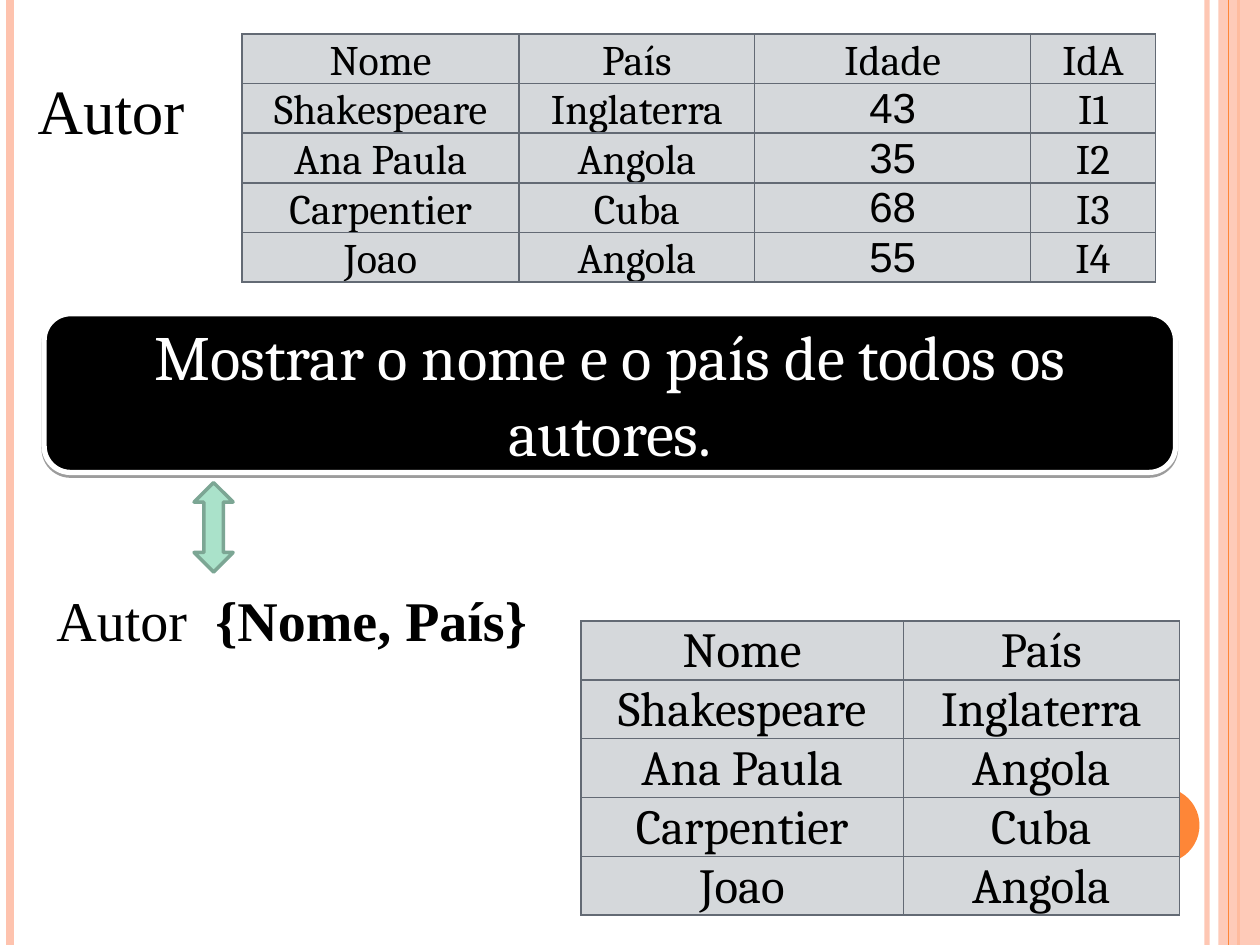
import pptx
import pptx.util
import pptx.oxml
import pptx.oxml.ns
import pptx.dml.color
import pptx.enum.shapes
import pptx.enum.text
from lxml import etree

Inches = pptx.util.Inches
Pt = pptx.util.Pt
RGBColor = pptx.dml.color.RGBColor
Shape = pptx.enum.shapes.MSO_SHAPE
Align = pptx.enum.text.PP_ALIGN
qn = pptx.oxml.ns.qn

BLACK = RGBColor(0x00, 0x00, 0x00)
WHITE = RGBColor(0xFF, 0xFF, 0xFF)
PEACH = RGBColor(0xFE, 0xC3, 0xAE)
ORANGE = RGBColor(0xFE, 0x86, 0x37)
MINT = RGBColor(0xAA, 0xE2, 0xCA)
MINT_EDGE = RGBColor(0x7C, 0xA6, 0x94)
CELL_GREY = RGBColor(0xD5, 0xD8, 0xDB)
BORDER_GREY = RGBColor(0x63, 0x6A, 0x74)

SERIF = "Cambria"
ROMAN = "Times New Roman"
SANS = "Arial"

AUTHORS = [
    ("Nome", "País", "Idade", "IdA"),
    ("Shakespeare", "Inglaterra", "43", "I1"),
    ("Ana Paula", "Angola", "35", "I2"),
    ("Carpentier", "Cuba", "68", "I3"),
    ("Joao", "Angola", "55", "I4"),
]


def add_span(para, text, size, font, color=BLACK, bold=False):
    span = para.add_run()
    span.text = text
    span.font.size = Pt(size)
    span.font.name = font
    span.font.color.rgb = color
    span.font.bold = bold


def set_alpha(color_parent, percent):
    color = color_parent.find(".//" + qn("a:srgbClr"))
    etree.SubElement(color, qn("a:alpha"), val=str(percent * 1000))


def add_rule(page, x, color, width, alpha=None):
    """Vertical line over the full height of the page."""
    rule = page.shapes.add_connector(
        pptx.enum.shapes.MSO_CONNECTOR.STRAIGHT,
        Inches(x), 0, Inches(x), Inches(7.5))
    rule.line.color.rgb = color
    rule.line.width = Pt(width)
    properties = rule._element.spPr
    if alpha:
        set_alpha(properties, alpha)
    etree.SubElement(properties, qn("a:effectLst"))


def add_box(page, kind, place, fill, line=None, width=1):
    box = page.shapes.add_shape(kind, *map(Inches, place))
    box.shadow.inherit = False
    box.fill.solid()
    box.fill.fore_color.rgb = fill
    if line is None:
        box.line.fill.background()
    else:
        box.line.color.rgb = line
        box.line.width = Pt(width)
    return box


def add_label(page, place, spans, size):
    """Left-aligned text; spans are (text, bold) pairs."""
    label = page.shapes.add_textbox(*map(Inches, place))
    label.text_frame.word_wrap = True
    for text, bold in spans:
        add_span(label.text_frame.paragraphs[0], text, size, ROMAN, bold=bold)


def add_drop_shadow(box):
    effects = box._element.spPr.find(qn("a:effectLst"))
    shadow = etree.SubElement(
        effects, qn("a:outerShdw"), blurRad="0", dist=str(Pt(1.6)),
        dir="5400000", rotWithShape="0")
    etree.SubElement(shadow, qn("a:srgbClr"), val=str(BLACK))
    set_alpha(shadow, 38)


def set_borders(cell):
    properties = cell._tc.get_or_add_tcPr()
    for index, side in enumerate(("lnL", "lnR", "lnT", "lnB")):
        edge = pptx.oxml.parse_xml(
            f'<a:{side} {pptx.oxml.ns.nsdecls("a")} w="{Pt(1)}"><a:solidFill>'
            f'<a:srgbClr val="{BORDER_GREY}"/></a:solidFill></a:{side}>')
        properties.insert(index, edge)


def add_grid(page, left, top, widths, row_height, rows, size):
    frame = page.shapes.add_table(
        len(rows), len(widths), Inches(left), Inches(top),
        Inches(sum(widths)), Inches(row_height * len(rows)))
    table = frame.table
    table.first_row = table.horz_banding = False
    for column, width in zip(table.columns, widths):
        column.width = Inches(width)
    for row, texts in zip(table.rows, rows):
        row.height = Inches(row_height)
        for cell, text in zip(row.cells, texts):
            cell.fill.solid()
            cell.fill.fore_color.rgb = CELL_GREY
            set_borders(cell)
            cell.margin_left = cell.margin_right = Inches(0.05)
            cell.margin_top, cell.margin_bottom = Inches(0.06), 0
            para = cell.text_frame.paragraphs[0]
            para.alignment = Align.CENTER
            para.line_spacing = 0.87
            add_span(para, text, size, SANS if text.isdigit() else SERIF)


def add_decoration(page):
    add_rule(page, 9.58, PEACH, 3, alpha=93)
    add_rule(page, 0.08, PEACH, 4.5)
    add_rule(page, 9.83, ORANGE, 1.5)
    band = add_box(page, Shape.RECTANGLE, (9.67, 0, 0.33, 7.5), PEACH)
    set_alpha(band._element.spPr, 87)
    add_rule(page, 9.75, ORANGE, 0.75)
    add_box(page, Shape.OVAL, (8.92, 6.25, 0.6, 0.6), ORANGE)


def add_question(page):
    box = add_box(page, Shape.ROUNDED_RECTANGLE, (0.35, 2.49, 8.98, 1.26),
                  BLACK, WHITE, 3)
    add_drop_shadow(box)
    box.text_frame.word_wrap = True
    box.text_frame.vertical_anchor = pptx.enum.text.MSO_ANCHOR.MIDDLE
    para = box.text_frame.paragraphs[0]
    para.alignment = Align.CENTER
    add_span(para, "Mostrar o nome e o país de todos os autores.",
             36, SERIF, color=WHITE)


def main():
    deck = pptx.Presentation()
    deck.slide_width, deck.slide_height = Inches(10), Inches(7.5)
    page = deck.slides.add_slide(deck.slide_layouts[6])

    add_decoration(page)

    # Full relation
    add_grid(page, 1.92, 0.27, (2.2, 1.87, 2.19, 0.99), 0.39, AUTHORS, 24)
    add_label(page, (0.2, 0.52, 1.5, 0.71), [("Autor", False)], 36)

    # Question and its algebraic form
    add_question(page)
    add_label(page, (0.35, 4.6, 4.17, 0.64),
              [("Autor  ", False), ("{Nome, País}", True)], 32)
    arrow = add_box(page, Shape.UP_DOWN_ARROW, (1.54, 3.83, 0.31, 0.71),
                    MINT, MINT_EDGE, 2)
    arrow.adjustments[0] = arrow.adjustments[1] = 0.5

    # Projection on name and country
    projection = [row[:2] for row in AUTHORS]
    add_grid(page, 4.61, 4.93, (2.56, 2.19), 0.46, projection, 28)

    deck.save("out.pptx")


if __name__ == "__main__":
    main()
